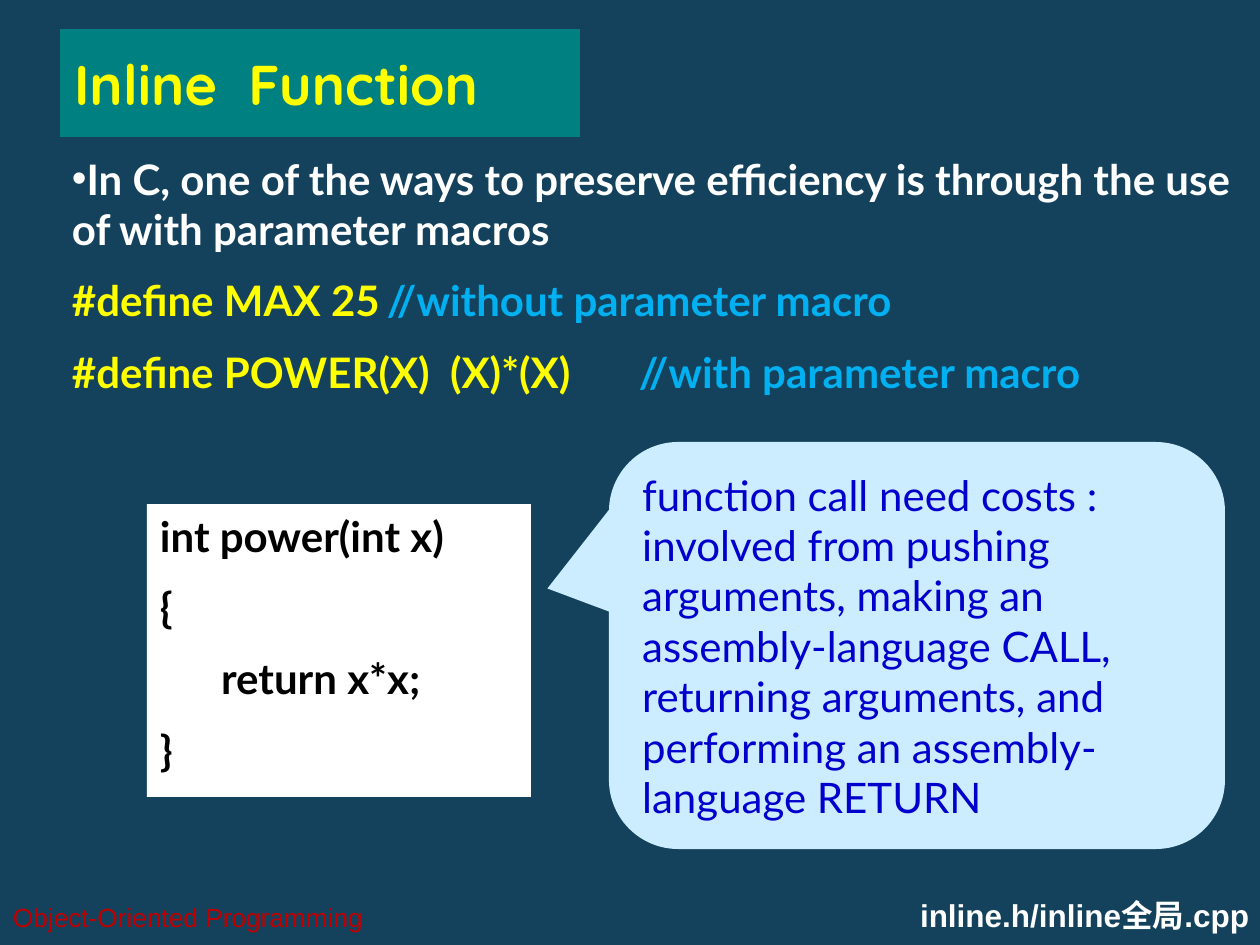
"""Build the Inline Function slide."""
from dataclasses import dataclass
from typing import Any, Optional

from lxml.etree import SubElement
from pptx import Presentation
from pptx.dml.color import RGBColor
from pptx.enum.shapes import MSO_SHAPE
from pptx.enum.text import MSO_ANCHOR, MSO_AUTO_SIZE, PP_ALIGN
from pptx.oxml.ns import qn
from pptx.util import Emu, Pt

PIXELS_PER_INCH = 126
EMU_PER_PIXEL = 914400 / PIXELS_PER_INCH


@dataclass(frozen=True)
class Theme:
    """Colours, fonts and type sizes of the slide."""
    background: str = "14425D"
    teal: str = "008080"
    yellow: str = "FFFF00"
    white: str = "FFFFFF"
    black: str = "000000"
    sky: str = "00B0F0"
    red: str = "C00000"
    pale: str = "CCECFF"
    navy: str = "0000CC"
    heading_font: str = "Quicksand"
    body_font: str = "Lato"
    footer_font: str = "Arial"
    title_size: int = 32
    body_size: int = 24
    file_size: int = 18
    footer_size: int = 15


THEME = Theme()


@dataclass(frozen=True)
class Line:
    """A paragraph made of (text, colour) runs."""
    runs: tuple[tuple[str, str], ...]
    bullet: Optional[str] = None
    tab_stops: tuple[int, ...] = ()


@dataclass(frozen=True)
class Block:
    """A box in px with its text and formatting."""
    box: tuple[int, int, int, int]
    lines: tuple[Line, ...]
    size: int = THEME.body_size
    font: str = THEME.body_font
    bold: bool = True
    fill: Optional[str] = None
    anchor: MSO_ANCHOR = MSO_ANCHOR.TOP
    align: PP_ALIGN = PP_ALIGN.LEFT
    insets: tuple[int, int] = (13, 6)


def px(length: int) -> Emu:
    """Turn px into EMU."""
    return Emu(round(length * EMU_PER_PIXEL))


def apply(target: Any, values: dict[str, Any]) -> None:
    """Set every attribute named in values."""
    for name, value in values.items():
        setattr(target, name, value)


def write_line(paragraph: Any, line: Line, block: Block, space: int) -> None:
    """Write one paragraph with its bullet, tabs and runs."""
    properties = paragraph._p.get_or_add_pPr()
    apply(paragraph, {"alignment": block.align, "space_before": Pt(space)})
    properties.set("marL", "0")
    properties.set("indent", "0")
    if line.bullet:
        SubElement(properties, qn("a:buChar"), char=line.bullet)
    else:
        SubElement(properties, qn("a:buNone"))
    if line.tab_stops:
        tabs = SubElement(properties, qn("a:tabLst"))
        for stop in line.tab_stops:
            SubElement(tabs, qn("a:tab"), pos=str(px(stop)), algn="l")
    for text, colour in line.runs:
        run = paragraph.add_run()
        run.text = text
        apply(run.font, {"name": block.font, "size": Pt(block.size), "bold": block.bold})
        run.font.color.rgb = RGBColor.from_string(colour)


def fill_block(shape: Any, block: Block) -> None:
    """Place a shape, colour it and write its text."""
    left, top, width, height = map(px, block.box)
    apply(shape, {"left": left, "top": top, "width": width, "height": height})
    if block.fill:
        shape.fill.solid()
        shape.fill.fore_color.rgb = RGBColor.from_string(block.fill)
    horizontal, vertical = map(px, block.insets)
    frame = shape.text_frame
    apply(frame, {
        "word_wrap": True, "auto_size": MSO_AUTO_SIZE.NONE, "vertical_anchor": block.anchor,
        "margin_left": horizontal, "margin_right": horizontal,
        "margin_top": vertical, "margin_bottom": vertical,
    })
    for index, line in enumerate(block.lines):
        paragraph = frame.add_paragraph() if index else frame.paragraphs[0]
        write_line(paragraph, line, block, block.size // 2 if index else 0)


def add_text(slide: Any, block: Block) -> None:
    """Add a text box."""
    fill_block(slide.shapes.add_textbox(*map(px, block.box)), block)


def add_panel(slide: Any, kind: MSO_SHAPE, block: Block, adjustments: tuple[float, ...] = ()) -> None:
    """Add a filled shape without outline or shadow."""
    shape = slide.shapes.add_shape(kind, *map(px, block.box))
    shape.shadow.inherit = False
    shape.line.fill.background()
    for index, value in enumerate(adjustments):
        shape.adjustments[index] = value
    fill_block(shape, block)


TITLE = Block((60, 29, 520, 108), (Line((("Inline  Function", THEME.yellow),)),),
              size=THEME.title_size, font=THEME.heading_font, fill=THEME.teal,
              anchor=MSO_ANCHOR.MIDDLE, insets=(14, 6))
COMMENT_STOPS = (3 * PIXELS_PER_INCH, 5 * PIXELS_PER_INCH)
MACROS = Block((59, 147, 1201, 267), (
    Line((("In C, one of the ways to preserve efficiency is through the use of with parameter macros",
           THEME.white),), bullet="•"),
    Line((("#define MAX 25\t", THEME.yellow), ("//without parameter macro", THEME.sky)),
         tab_stops=COMMENT_STOPS),
    Line((("#define POWER(X)  (X)*(X) \t", THEME.yellow), ("//with parameter macro", THEME.sky)),
         tab_stops=COMMENT_STOPS),
))
CODE = Block((147, 504, 384, 293), tuple(
    Line(((text, THEME.black),)) for text in ("int power(int x)", "{", "      return x*x;", "}")
), fill=THEME.white)
COSTS = Block((609, 442, 616, 407), (Line(((
    "function call need costs : involved from pushing arguments, making an assembly-language CALL, "
    "returning arguments, and performing an assembly-language RETURN", THEME.navy),)),),
    bold=False, fill=THEME.pale, anchor=MSO_ANCHOR.MIDDLE)
COURSE = Block((0, 892, 505, 51), (Line((("Object-Oriented Programming", THEME.red),)),),
               size=THEME.footer_size, font=THEME.footer_font, bold=False, anchor=MSO_ANCHOR.MIDDLE)
FILES = Block((679, 888, 585, 53), (Line((("inline.h/inline全局.cpp", THEME.white),)),),
              size=THEME.file_size, font=THEME.footer_font, align=PP_ALIGN.RIGHT, insets=(15, 8))


def main() -> None:
    """Build and save the slide."""
    presentation = Presentation()
    apply(presentation, {"slide_width": px(1260), "slide_height": px(945)})
    slide = presentation.slides.add_slide(presentation.slide_layouts[1])
    slide.background.fill.solid()
    slide.background.fill.fore_color.rgb = RGBColor.from_string(THEME.background)
    fill_block(slide.shapes.title, TITLE)
    fill_block(slide.placeholders[1], MACROS)
    add_text(slide, COURSE)
    add_panel(slide, MSO_SHAPE.RECTANGLE, CODE)
    add_panel(slide, MSO_SHAPE.ROUNDED_RECTANGULAR_CALLOUT, COSTS, (-0.6, -0.14, 0.17))
    add_text(slide, FILES)
    presentation.save("out.pptx")


if __name__ == "__main__":
    main()
